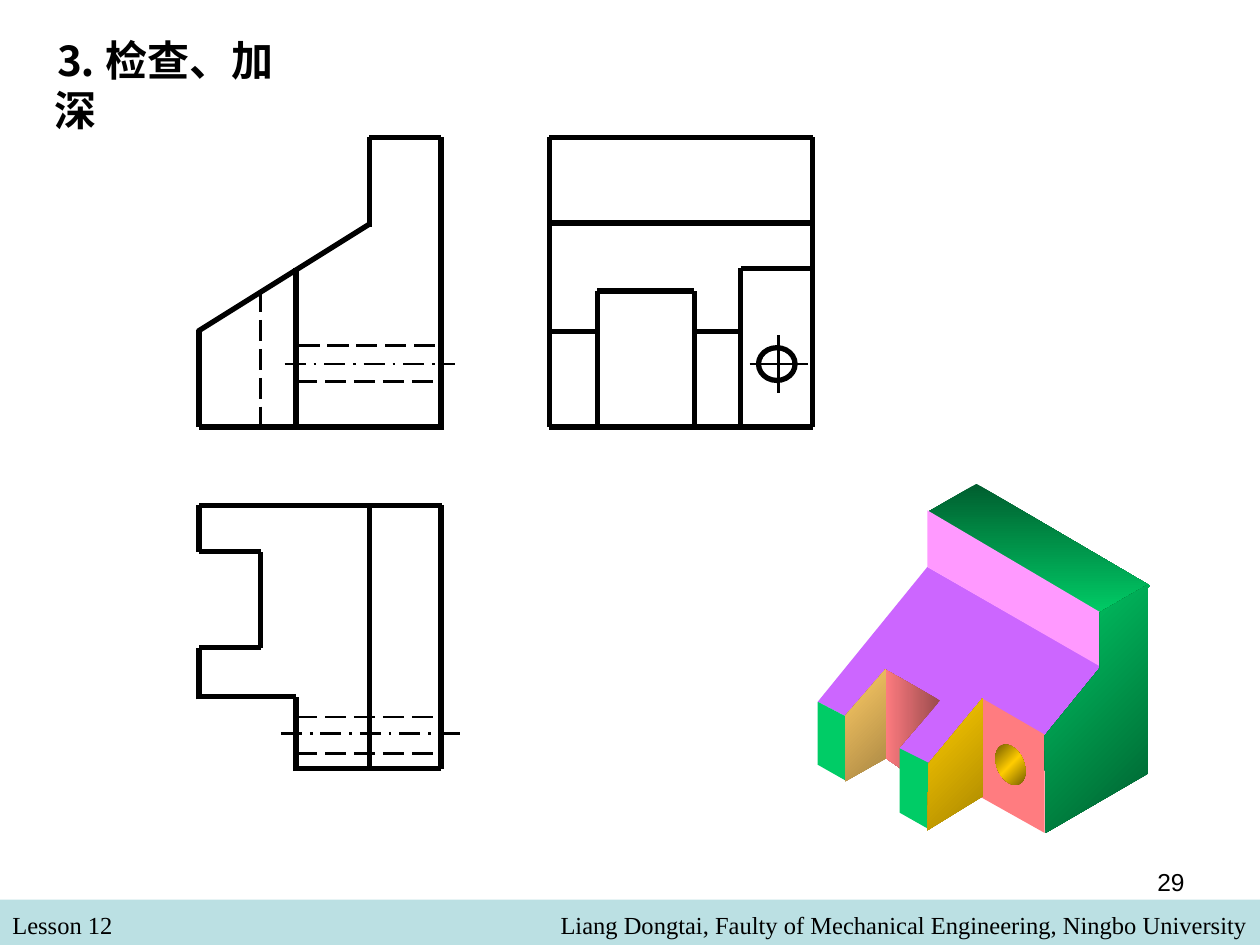
import copy
import math

from lxml import etree
from pptx import Presentation
from pptx.dml.color import RGBColor
from pptx.enum import dml, shapes, text
from pptx.oxml import ns
from pptx.util import Inches, Pt

BLACK = RGBColor(0x00, 0x00, 0x00)
FOOTER_BLUE = RGBColor(0xBB, 0xE0, 0xE3)
PURPLE = RGBColor(0xCC, 0x66, 0xFF)
PINK = RGBColor(0xFF, 0x99, 0xFF)
SALMON = RGBColor(0xFF, 0x7C, 0x80)
DARK_SALMON = RGBColor(0x9A, 0x4B, 0x4D)
GREEN = RGBColor(0x00, 0xCC, 0x66)
DARK_GREEN = RGBColor(0x00, 0x5E, 0x2F)
SAND = RGBColor(0xFF, 0xCC, 0x66)
DARK_SAND = RGBColor(0xA9, 0x87, 0x43)
GOLD = RGBColor(0xFF, 0xCC, 0x00)
DARK_GOLD = RGBColor(0xA9, 0x87, 0x00)
HOLE_GOLD = RGBColor(0x75, 0x5E, 0x00)

THICK, THIN = 3, 1.5
HIDDEN = dml.MSO_LINE.LONG_DASH
CENTRE = dml.MSO_LINE.LONG_DASH_DOT

# Each view is a list of chains; a chain is drawn as successive straight edges.
FRONT_EDGES = [
    [(2.93, 1.09), (3.5, 1.09), (3.5, 3.41)],
    [(3.51, 3.39), (1.58, 3.39), (1.58, 2.62)],
    [(2.93, 1.09), (2.93, 1.8)],
    [(2.93, 1.78), (1.57, 2.63)],
    [(2.35, 2.13), (2.35, 3.39)],
]
SIDE_EDGES = [
    [(4.36, 1.09), (6.45, 1.09), (6.45, 3.39), (4.36, 3.39), (4.36, 1.09)],
    [(4.36, 1.77), (6.45, 1.77)],
    [(4.74, 3.39), (4.74, 2.31), (5.51, 2.31), (5.51, 3.39)],
    [(4.36, 2.63), (4.74, 2.63)],
    [(5.51, 2.63), (5.88, 2.63)],
    [(5.88, 3.39), (5.88, 2.13), (6.46, 2.13)],
]
TOP_EDGES = [
    [(1.58, 4.01), (3.51, 4.01)],
    [(3.5, 4.01), (3.5, 6.1), (2.35, 6.1)],
    [(2.35, 6.12), (2.35, 5.53), (1.57, 5.53)],
    [(1.58, 5.55), (1.58, 5.14), (2.07, 5.14), (2.07, 4.38),
     (1.58, 4.38), (1.58, 4.01)],
    [(2.93, 6.1), (2.93, 4.01)],
]
HIDDEN_EDGES = [
    [(2.07, 2.31), (2.07, 3.41)],
    [(2.37, 2.74), (3.5, 2.74)],
    [(2.35, 3.03), (3.5, 3.03)],
    [(2.35, 5.69), (3.5, 5.69)],
    [(2.35, 5.98), (3.5, 5.98)],
]
CENTRE_LINES = [[(2.26, 2.89), (3.61, 2.89)], [(2.23, 5.82), (3.65, 5.82)]]
HOLE_CROSS = [[(6.18, 2.66), (6.18, 3.12)], [(5.95, 2.89), (6.41, 2.89)]]


def write(frame, content, size=14, font="Times New Roman", bold=False,
          align=text.PP_ALIGN.LEFT, wrap=True):
    frame.word_wrap = wrap
    frame.vertical_anchor = text.MSO_ANCHOR.TOP
    paragraph = frame.paragraphs[0]
    paragraph.alignment = align
    run = paragraph.add_run()
    run.text = content
    run.font.size = Pt(size)
    run.font.name = font
    run.font.bold = bold
    run.font.color.rgb = BLACK


def add_label(slide, box, content, **style):
    label = slide.shapes.add_textbox(*map(Inches, box))
    write(label.text_frame, content, **style)


def draw_chains(drawing, chains, width, dash=None):
    for chain in chains:
        for start, end in zip(chain, chain[1:]):
            edge = drawing.shapes.add_connector(
                shapes.MSO_CONNECTOR.STRAIGHT, *map(Inches, start + end))
            edge.line.color.rgb = BLACK
            edge.line.width = Pt(width)
            if dash is not None:
                edge.line.dash_style = dash
            etree.SubElement(edge._element.spPr, ns.qn("a:effectLst"))


def shade(fill, colours, clockwise):
    """Fill with evenly spaced gradient colours at a clockwise angle."""
    fill.gradient()
    fill.gradient_angle = 360 - clockwise
    last_stop = fill._fill._gradFill.gsLst[-1]
    for _ in colours[2:]:
        last_stop.addnext(copy.deepcopy(last_stop))
    for index, (stop, colour) in enumerate(zip(fill.gradient_stops, colours)):
        stop.color.rgb = colour
        stop.position = index / (len(colours) - 1)


def add_face(solid, points, *colours, angle=225):
    corners = [(Inches(x), Inches(y)) for x, y in points]
    builder = solid.shapes.build_freeform(*corners[0], scale=1.0)
    builder.add_line_segments(corners[1:], close=True)
    face = builder.convert_to_shape()
    face.shadow.inherit = False
    face.line.fill.background()
    if len(colours) == 1:
        face.fill.solid()
        face.fill.fore_color.rgb = colours[0]
    else:
        shade(face.fill, colours, angle)


def hole_outline(count=36):
    """Points of the slanted ellipse of the drilled hole."""
    turns = [2 * math.pi * i / count for i in range(count)]
    return [(8.02 + 0.12 * math.cos(t), 6.07 + 0.16 * math.sin(t + 0.33))
            for t in turns]


def draw_views(slide):
    views = slide.shapes.add_group_shape()
    draw_chains(views, HOLE_CROSS, THIN)
    hole = views.shapes.add_shape(
        shapes.MSO_SHAPE.OVAL, *map(Inches, (6.02, 2.76, 0.29, 0.26)))
    hole.shadow.inherit = False
    hole.fill.background()
    hole.line.color.rgb = BLACK
    hole.line.width = Pt(THICK)
    draw_chains(views, CENTRE_LINES, THIN, CENTRE)
    draw_chains(views, HIDDEN_EDGES, THIN, HIDDEN)
    draw_chains(views, TOP_EDGES + SIDE_EDGES + FRONT_EDGES, THICK)


def draw_solid(slide):
    solid = slide.shapes.add_group_shape()
    add_face(solid, [(7.36, 4.5), (6.49, 5.57), (6.72, 5.69), (7.02, 5.35),
                     (7.45, 5.56), (7.11, 5.93), (7.38, 6.07), (7.8, 5.55),
                     (8.29, 5.84), (8.74, 5.29)], PURPLE)
    add_face(solid, [(7.79, 5.54), (8.29, 5.83), (8.29, 6.61), (7.79, 6.33)],
             SALMON)
    add_face(solid, [(7.02, 5.31), (7.46, 5.56), (7.14, 5.93), (7.15, 6.1),
                     (7.02, 6.01)], DARK_SALMON, SALMON, angle=180)
    add_face(solid, [(7.37, 4.06), (7.75, 3.84), (9.13, 4.65), (8.74, 4.87)],
             DARK_GREEN, GREEN, angle=90)
    add_face(solid, [(7.36, 4.05), (7.36, 4.5), (8.75, 5.3), (8.75, 4.87)],
             PINK)
    add_face(solid, [(9.11, 4.64), (9.11, 6.14), (8.3, 6.61), (8.29, 5.84),
                     (8.73, 5.3), (8.73, 4.86)], DARK_GREEN, GREEN)
    add_face(solid, [(6.49, 5.57), (6.72, 5.69), (6.72, 6.2), (6.49, 6.07)],
             GREEN)
    add_face(solid, [(7.14, 5.94), (7.38, 6.06), (7.37, 6.58), (7.14, 6.45)],
             GREEN)
    add_face(solid, [(6.71, 5.68), (7.03, 5.31), (7.03, 6.02), (6.71, 6.2)],
             DARK_SAND, SAND)
    add_face(solid, hole_outline(), HOLE_GOLD, GOLD, HOLE_GOLD)
    add_face(solid, [(7.37, 6.06), (7.36, 6.59), (7.8, 6.32), (7.8, 5.54)],
             DARK_GOLD, GOLD)


def add_footer(slide):
    band = slide.shapes.add_shape(
        shapes.MSO_SHAPE.RECTANGLE, *map(Inches, (0, 7.14, 10, 0.36)))
    band.shadow.inherit = False
    band.fill.solid()
    band.fill.fore_color.rgb = FOOTER_BLUE
    band.line.fill.background()
    add_label(slide, (0, 7.17, 4.83, 0.34), "Lesson 12")
    add_label(slide, (1.83, 7.17, 8.17, 0.34),
              "Liang Dongtai, Faulty of Mechanical Engineering, Ningbo University",
              align=text.PP_ALIGN.RIGHT)


def add_title(slide, content):
    title = slide.shapes.title
    title.left, title.top, title.width, title.height = map(
        Inches, (0.33, 0.22, 2.27, 0.5))
    write(title.text_frame, content, size=24, bold=True, wrap=False)


def main():
    deck = Presentation()
    deck.slide_width, deck.slide_height = Inches(10), Inches(7.5)
    slide = deck.slides.add_slide(deck.slide_layouts[5])
    add_footer(slide)
    draw_views(slide)
    add_title(slide, "⒊ 检查、加深")
    draw_solid(slide)
    add_label(slide, (7.17, 6.83, 2.33, 0.52), "29", font="Arial",
              align=text.PP_ALIGN.RIGHT)
    deck.save("out.pptx")


if __name__ == "__main__":
    main()
